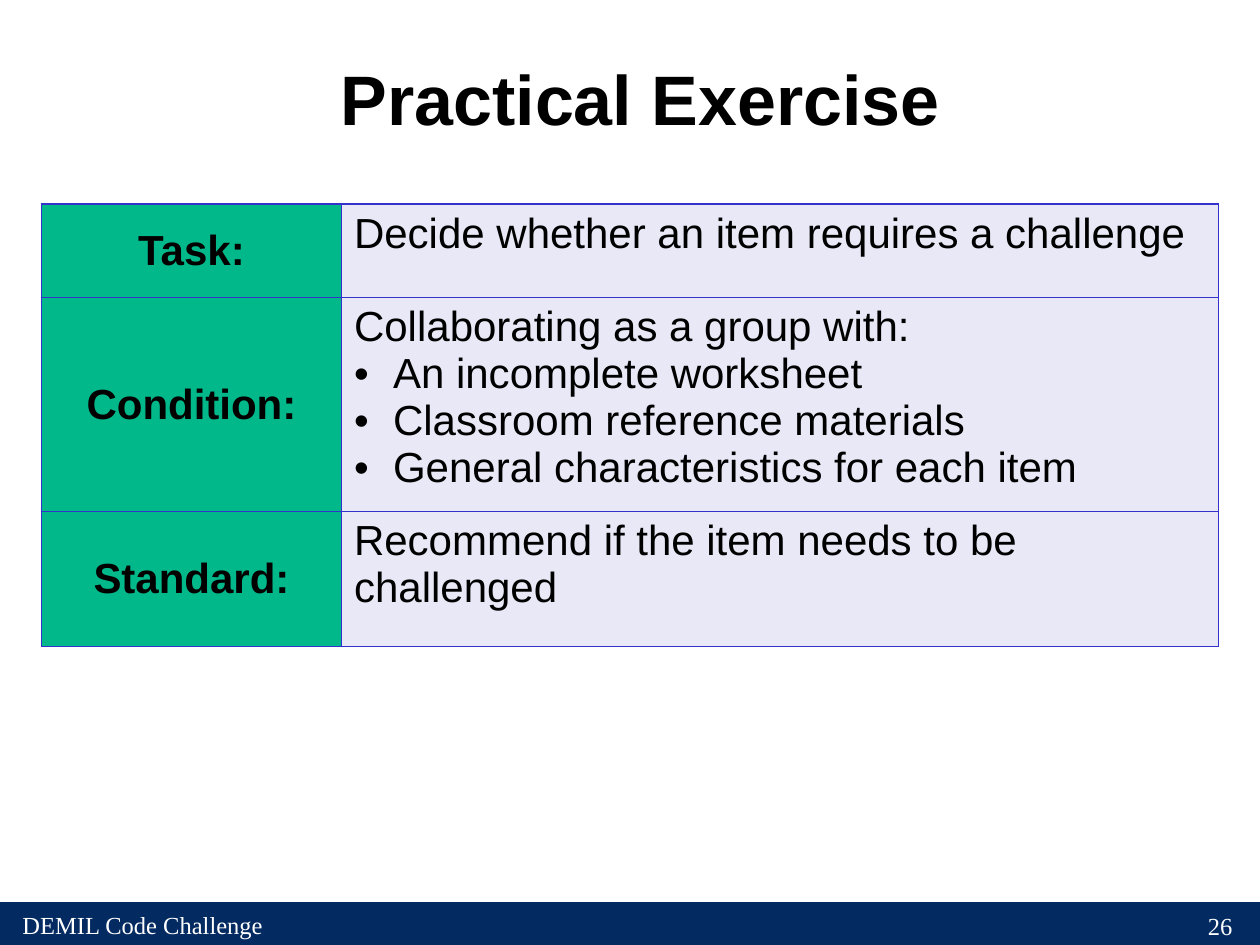
from lxml import etree
from pptx import Presentation
from pptx import util as u
from pptx.dml.color import RGBColor
from pptx.enum import shapes, text
from pptx.oxml import ns

WIDTH, HEIGHT = 10, 7.5
NAVY, GREEN, LILAC, BORDER = "032B61", "00B88A", "E8E8F6", "3333CC"
BLACK, WHITE = "000000", "FFFFFF"

COLUMNS = (2.38, 6.96)
ROW_HEIGHTS = (0.74, 1.7, 1.07)
# Each row: label, lead sentence, bullet points
ROWS = (
    ("Task:", "Decide whether an item requires a challenge", ()),
    ("Condition:", "Collaborating as a group with:",
     ("An incomplete worksheet", "Classroom reference materials",
      "General characteristics for each item")),
    ("Standard:", "Recommend if the item needs to be challenged", ()),
)


def color(value):
    return RGBColor.from_string(value)


def style(para, size, font="Arial", ink=BLACK, bold=False, align=text.PP_ALIGN.LEFT):
    para.alignment = align
    para.font.size = u.Pt(size)
    para.font.name = font
    para.font.bold = bold
    para.font.color.rgb = color(ink)


def place(shape, left, top, width, height):
    shape.left, shape.top = u.Inches(left), u.Inches(top)
    shape.width, shape.height = u.Inches(width), u.Inches(height)


def add_title(page, words):
    title = page.shapes.title
    place(title, 0.83, 0.33, 8.5, 1.08)
    frame = title.text_frame
    frame.text = words
    frame.word_wrap = True
    frame.vertical_anchor = text.MSO_ANCHOR.TOP
    frame.margin_top = u.Inches(0.11)
    style(frame.paragraphs[0], 40, bold=True, align=text.PP_ALIGN.CENTER)


def add_band(page):
    band = page.shapes.add_shape(shapes.MSO_SHAPE.RECTANGLE, 0, 0, 0, 0)
    place(band, 0, HEIGHT - 0.34, WIDTH, 0.34)
    band.shadow.inherit = False
    band.fill.solid()
    band.fill.fore_color.rgb = color(NAVY)
    band.line.fill.background()


def add_footer_text(page, words, left, top, width, align):
    box = page.shapes.add_textbox(0, 0, 0, 0)
    place(box, left, top, width, 0.32)
    box.text_frame.word_wrap = True
    box.text_frame.text = words
    style(box.text_frame.paragraphs[0], 14, "Times New Roman", WHITE, align=align)


def add_bullet(para):
    props = para._p.get_or_add_pPr()
    indent = u.Inches(0.31)
    props.set("marL", str(indent))
    props.set("indent", str(-indent))
    etree.SubElement(props, ns.qn("a:buFont"), typeface="Arial")
    etree.SubElement(props, ns.qn("a:buChar"), char="•")


def format_cell(cell, fill):
    # Borders precede the fill in the cell properties
    props = cell._tc.get_or_add_tcPr()
    for side in "LRTB":
        line = etree.SubElement(props, ns.qn(f"a:ln{side}"), w=str(u.Pt(1)))
        solid = etree.SubElement(line, ns.qn("a:solidFill"))
        etree.SubElement(solid, ns.qn("a:srgbClr"), val=BORDER)
    cell.fill.solid()
    cell.fill.fore_color.rgb = color(fill)


def fill_label(cell, words):
    format_cell(cell, GREEN)
    cell.vertical_anchor = text.MSO_ANCHOR.MIDDLE
    cell.text = words
    style(cell.text_frame.paragraphs[0], 24, bold=True, align=text.PP_ALIGN.CENTER)


def fill_details(cell, lead, points):
    format_cell(cell, LILAC)
    frame = cell.text_frame
    frame.text = lead
    for point in points:
        para = frame.add_paragraph()
        para.text = point
        add_bullet(para)
    for para in frame.paragraphs:
        style(para, 24)


def add_exercise_table(page):
    table = page.shapes.add_table(
        len(ROWS), len(COLUMNS), u.Inches(0.33), u.Inches(1.62),
        u.Inches(sum(COLUMNS)), u.Inches(sum(ROW_HEIGHTS))).table
    table.first_row = table.horz_banding = False
    for column, width in zip(table.columns, COLUMNS):
        column.width = u.Inches(width)
    for row, height, (label, lead, points) in zip(table.rows, ROW_HEIGHTS, ROWS):
        row.height = u.Inches(height)
        fill_label(row.cells[0], label)
        fill_details(row.cells[1], lead, points)


def main():
    deck = Presentation()
    deck.slide_width, deck.slide_height = u.Inches(WIDTH), u.Inches(HEIGHT)
    page = deck.slides.add_slide(deck.slide_layouts[5])  # Title Only

    # Footer
    add_band(page)
    add_footer_text(page, "DEMIL Code Challenge", 0.08, 7.17, 3.17, text.PP_ALIGN.LEFT)
    add_footer_text(page, "26", 7.8, 7.18, 2.08, text.PP_ALIGN.RIGHT)

    # Title and exercise
    add_title(page, "Practical Exercise")
    add_exercise_table(page)

    deck.save("out.pptx")


if __name__ == "__main__":
    main()
